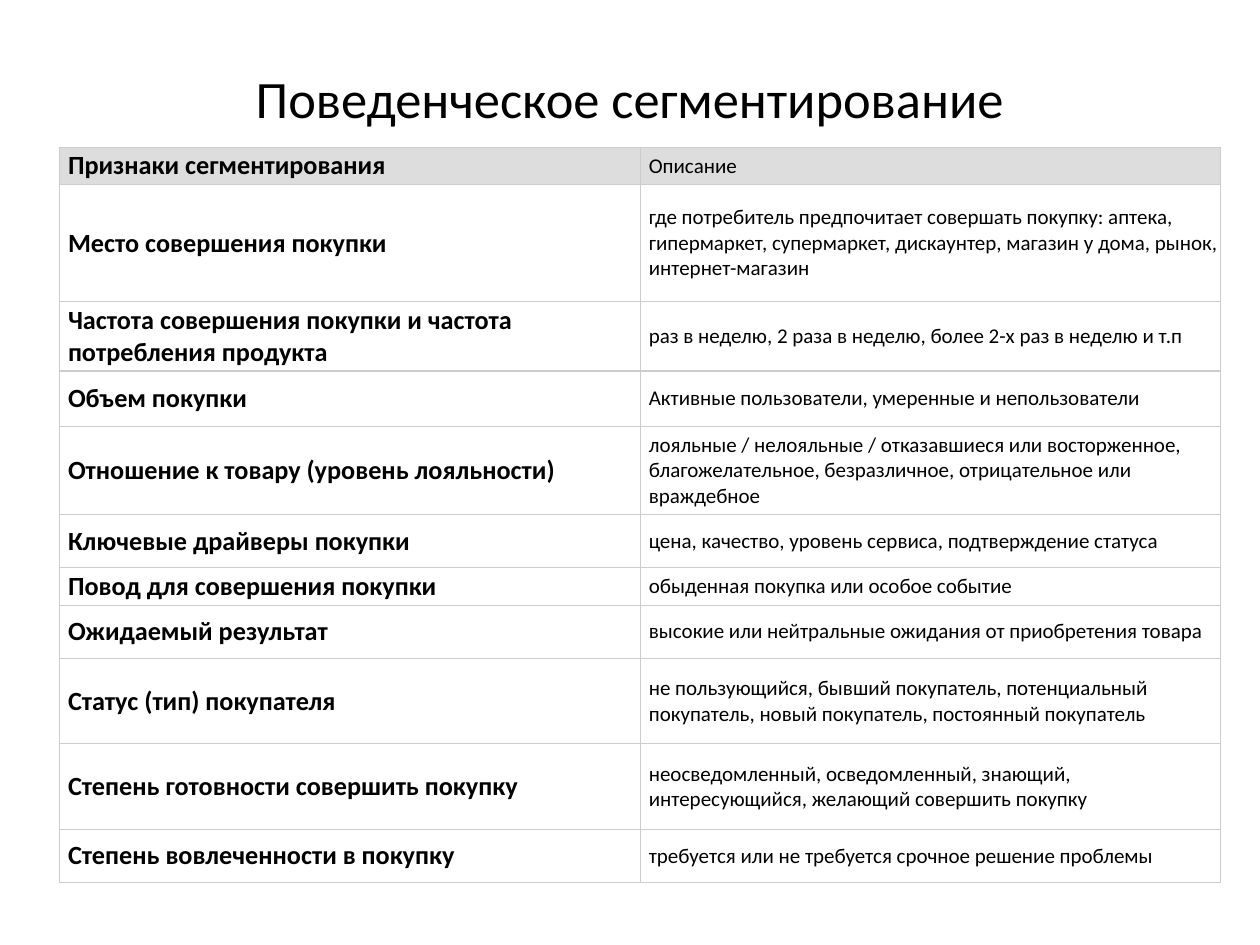
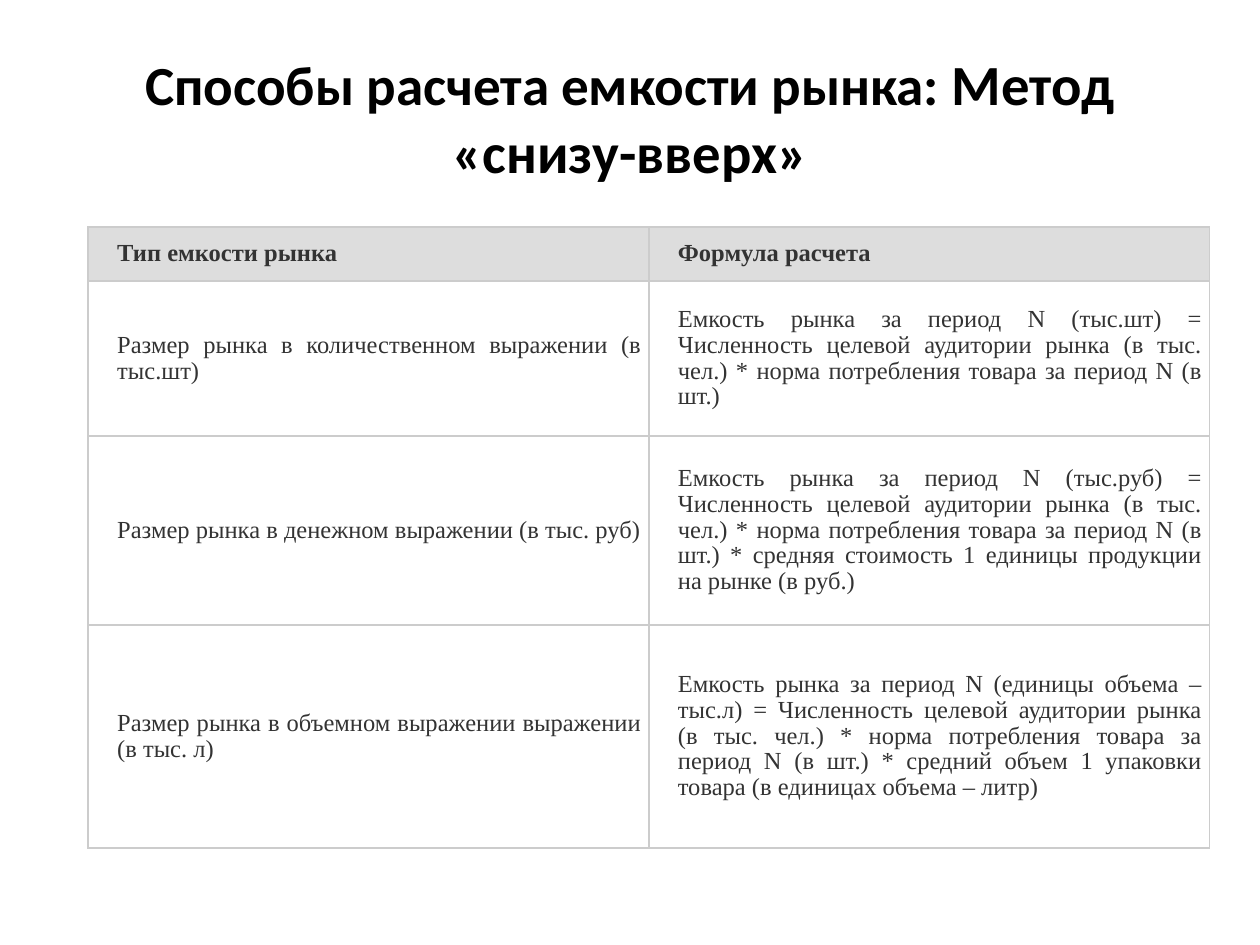
from pptx import Presentation
from pptx.dml.color import RGBColor
from pptx.enum.text import MSO_ANCHOR as Anchor, MSO_AUTO_SIZE as AutoSize, PP_ALIGN as Align
from pptx.oxml.ns import qn
from pptx.util import Inches, Pt
from lxml.etree import SubElement

COLORS = {"title": "000000", "dark": "000000", "gray": "333333",
          "header": "DDDDDD", "border": "CCCCCC"}

BEHAVIOUR_TITLE = [("Поведенческое сегментирование", 30)]
BEHAVIOUR_ROWS = [
    (0.25, "Признаки сегментирования", "Описание"),
    (0.93, "Место совершения покупки",
     "где потребитель предпочитает совершать покупку: аптека, гипермаркет, "
     "супермаркет, дискаунтер, магазин у дома, рынок, интернет-магазин"),
    (0.42, "Частота совершения покупки и частота потребления продукта",
     "раз в неделю, 2 раза в неделю, более 2-х раз в неделю и т.п"),
    (0.44, "Объем покупки", "Активные пользователи, умеренные и непользователи"),
    (0.7, "Отношение к товару (уровень лояльности)",
     "лояльные / нелояльные / отказавшиеся или восторженное, "
     "благожелательное, безразличное, отрицательное или враждебное"),
    (0.42, "Ключевые драйверы покупки",
     "цена, качество, уровень сервиса, подтверждение статуса"),
    (0.3, "Повод для совершения покупки", "обыденная покупка или особое событие"),
    (0.42, "Ожидаемый результат",
     "высокие или нейтральные ожидания от приобретения товара"),
    (0.68, "Статус (тип) покупателя",
     "не пользующийся, бывший покупатель, потенциальный покупатель, "
     "новый покупатель, постоянный покупатель"),
    (0.68, "Степень готовности совершить покупку",
     "неосведомленный, осведомленный, знающий, интересующийся, "
     "желающий совершить покупку"),
    (0.42, "Степень вовлеченности в покупку",
     "требуется или не требуется срочное решение проблемы"),
]

CAPACITY_TITLE = [("Способы расчета емкости рынка: ", 31.5), ("Метод «снизу-вверх»", 32.4)]
CAPACITY_ROWS = [
    (0.43, "Тип емкости рынка", "Формула расчета"),
    (1.23, "Размер рынка в количественном выражении (в тыс.шт)",
     "Емкость рынка за период N (тыс.шт) = Численность целевой аудитории рынка "
     "(в тыс. чел.) * норма потребления товара за период N (в шт.)"),
    (1.5, "Размер рынка в денежном выражении (в тыс. руб)",
     "Емкость рынка за период N (тыс.руб) = Численность целевой аудитории рынка "
     "(в тыс. чел.) * норма потребления товара за период N (в шт.) * "
     "средняя стоимость 1 единицы продукции на рынке (в руб.)"),
    (1.77, "Размер рынка в объемном выражении выражении (в тыс. л)",
     "Емкость рынка за период N (единицы объема – тыс.л) = Численность целевой "
     "аудитории рынка (в тыс. чел.) * норма потребления товара за период N (в шт.) * "
     "средний объем 1 упаковки товара (в единицах объема – литр)"),
]


def rgb(name):
    return RGBColor.from_string(COLORS[name])


def style_font(font, face, size, color, bold):
    font.name, font.size, font.bold = face, Pt(size), bold
    font.color.rgb = rgb(color)


def add_titled_slide(parts, height, bold):
    slide = deck.slides.add_slide(deck.slide_layouts[5])
    title = slide.shapes.title
    title.left, title.top = Inches(0.5), Inches(0.3)
    title.width, title.height = Inches(9), Inches(height)
    frame = title.text_frame
    frame.auto_size, frame.word_wrap = AutoSize.NONE, True
    frame.vertical_anchor = Anchor.MIDDLE
    heading = frame.paragraphs[0]
    heading.alignment = Align.CENTER
    for text, size in parts:
        run = heading.add_run()
        run.text = text
        style_font(run.font, "Calibri", size, "title", bold)
    return slide


def add_borders(cell, width):
    properties = cell._tc.get_or_add_tcPr()
    for side in ("lnL", "lnR", "lnT", "lnB"):
        line = SubElement(properties, qn(f"a:{side}"), w=str(Pt(width)))
        fill = SubElement(line, qn("a:solidFill"))
        SubElement(fill, qn("a:srgbClr"), val=COLORS["border"])


def add_grid(slide, rows, left, top, column, border, indent, inset, style_cell):
    height = sum(row[0] for row in rows)
    table = slide.shapes.add_table(len(rows), 2, Inches(left), Inches(top),
                                   Inches(2 * column), Inches(height)).table
    table.first_row = table.horz_banding = False
    for r, (row_height, *texts) in enumerate(rows):
        table.rows[r].height = Inches(row_height)
        for c, text in enumerate(texts):
            cell = table.cell(r, c)
            add_borders(cell, border)
            if r == 0:
                cell.fill.solid()
                cell.fill.fore_color.rgb = rgb("header")
            else:
                cell.fill.background()
            cell.vertical_anchor = Anchor.MIDDLE
            cell.margin_left = Inches(indent)
            cell.margin_top = cell.margin_right = cell.margin_bottom = Inches(inset)
            cell.text = text
            style_cell(cell.text_frame.paragraphs[0], r, c)


def style_behaviour(paragraph, row, column):
    style_font(paragraph.font, "Calibri", (15, 12)[column], "dark", column == 0)


def style_capacity(paragraph, row, column):
    paragraph.alignment = Align.JUSTIFY
    paragraph.line_spacing = 0.95
    style_font(paragraph.font, "Times New Roman", 14, "gray", row == 0)


deck = Presentation()
deck.slide_width, deck.slide_height = Inches(10), Inches(7.5)

behaviour = add_titled_slide(BEHAVIOUR_TITLE, 0.95, False)
add_grid(behaviour, BEHAVIOUR_ROWS, 0.47, 1.17, 4.61, 0.75, 0.07, 0.02, style_behaviour)

capacity = add_titled_slide(CAPACITY_TITLE, 1.26, True)
add_grid(capacity, CAPACITY_ROWS, 0.7, 1.8, 4.45, 1, 0.23, 0.06, style_capacity)

deck.save("out.pptx")
